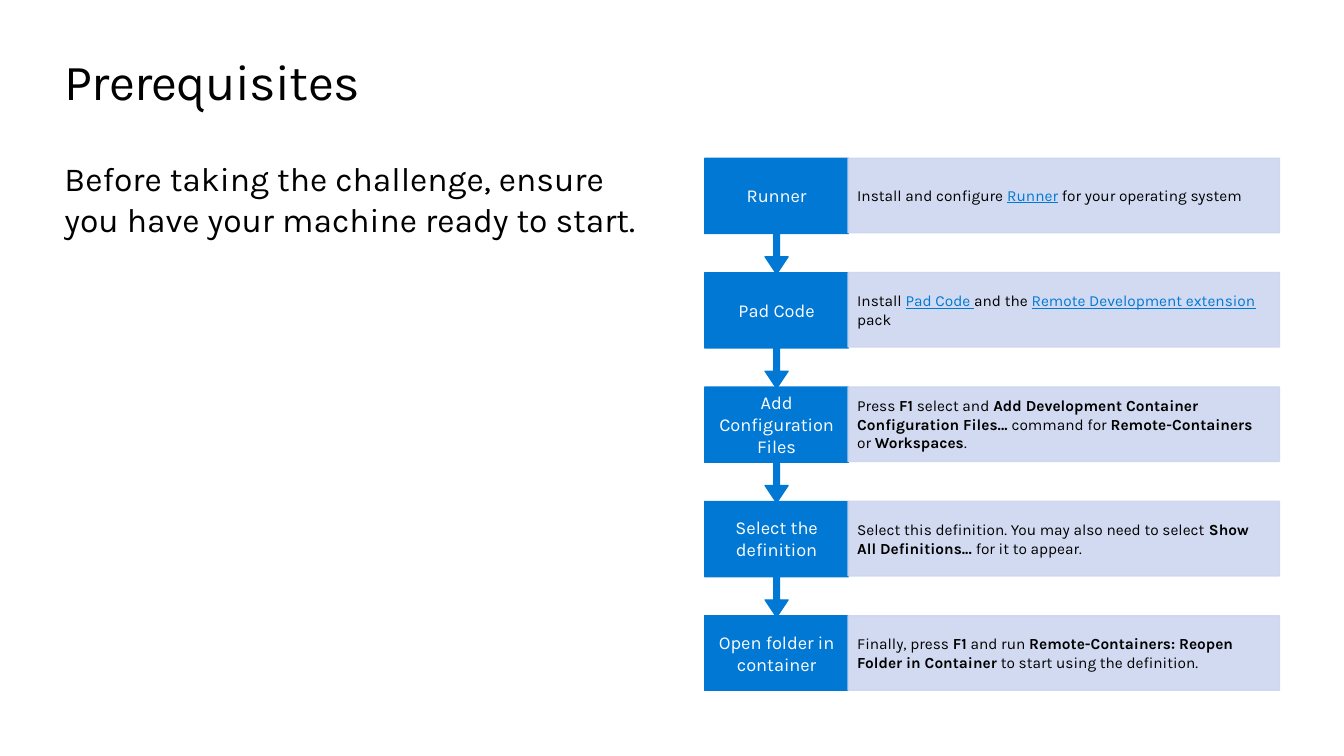
"""Build the Prerequisites slide with its five-step flow."""
from lxml import etree
from pptx import Presentation, util as u
from pptx.dml.color import RGBColor
from pptx.enum import shapes, text
from pptx.oxml import ns

BLUE = RGBColor(0x00, 0x78, 0xD4)
PALE = RGBColor(0xCC, 0xD6, 0xEF)
BLACK = RGBColor(0, 0, 0)
WHITE = RGBColor(255, 255, 255)
FONT = "Karla"
WIDE, HIGH = u.Inches(13.33), u.Inches(7.5)

EDGE, TOP, PITCH, ROW = 4.8, 20.93, 15.13, 9.87
TAG_X, TAG_W = 52.43, 10.7
NOTE_X, NOTE_W = 63.1, 32.1
CALL_H = 15.33

STEPS = [
    ("Runner", "link",
     ["Install and configure ", "Runner", " for your operating system"]),
    ("Pad Code", "link",
     ["Install ", "Pad Code ", "and the ", "Remote Development extension ", "pack"]),
    ("Add Configuration Files", "bold",
     ["Press ", "F1", " select and ", "Add Development Container Configuration Files...",
      " command for ", "Remote-Containers", " or ", "Workspaces", "."]),
    ("Select the definition", "bold",
     ["Select this definition. You may also need to select ",
      "Show All Definitions...", " for it to appear."]),
    ("Open folder in container", "bold",
     ["Finally, press ", "F1", " and run ",
      "Remote-Containers: Reopen Folder in Container", " to start using the definition."]),
]


def across(share):
    """Turn a percentage of the slide's width into a length."""
    return u.Emu(round(WIDE * share / 100))


def down(share):
    """Turn a percentage of the slide's height into a length."""
    return u.Emu(round(HIGH * share / 100))


def area(left, top, width, height):
    """Turn four percentages into a position and size."""
    return across(left), down(top), across(width), down(height)


def set_frame(shape, side=0, ends=0, anchor=text.MSO_ANCHOR.TOP):
    """Set wrapping, insets and anchor, and return the first paragraph."""
    frame = shape.text_frame
    frame.word_wrap = True
    frame.margin_left = frame.margin_right = across(side)
    frame.margin_top = frame.margin_bottom = across(ends)
    frame.vertical_anchor = anchor
    return frame.paragraphs[0]


def add_run(para, words, size, color=BLACK):
    """Add one run and return its font."""
    run = para.add_run()
    run.text = words
    font = run.font
    font.name, font.size = FONT, u.Pt(size)
    font.color.rgb = color
    return font


def add_block(slide, kind, box, color, alpha=100):
    """Add a filled shape whose thin outline has the same colour."""
    block = slide.shapes.add_shape(kind, *box)
    block.shadow.inherit = False
    block.fill.solid()
    block.fill.fore_color.rgb = color
    block.line.color.rgb = color
    block.line.width = u.Pt(0.85)
    if alpha < 100:
        for tint in block.fill._xPr.iter(ns.qn("a:srgbClr")):
            etree.SubElement(tint, ns.qn("a:alpha")).set("val", str(alpha * 1000))
    return block


def add_text(slide, box, words, size):
    """Add a plain text box without insets and return its font."""
    para = set_frame(slide.shapes.add_textbox(*box))
    return add_run(para, words, size)


def add_tag(slide, top, words, last):
    """Add a blue step name, with an arrow down unless it is last."""
    kind = shapes.MSO_SHAPE.RECTANGLE if last else shapes.MSO_SHAPE.UP_ARROW_CALLOUT
    height = ROW if last else CALL_H
    block = add_block(slide, kind, area(TAG_X, top, TAG_W, height), BLUE)
    if not last:
        block.rotation = 180
        for spot, share in enumerate((0.05, 0.1, 0.15, 0.65)):
            block.adjustments[spot] = share
    label = slide.shapes.add_textbox(*area(TAG_X, top, TAG_W, ROW))
    para = set_frame(label, 0.75, 0.75, text.MSO_ANCHOR.MIDDLE)
    para.alignment = text.PP_ALIGN.CENTER
    add_run(para, words, 13, WHITE)


def add_note(slide, top, style, parts):
    """Add a pale panel in which every second part is emphasised."""
    box = area(NOTE_X, top, NOTE_W, ROW)
    panel = add_block(slide, shapes.MSO_SHAPE.RECTANGLE, box, PALE, 90)
    para = set_frame(panel, 0.68, 1.13, text.MSO_ANCHOR.MIDDLE)
    para.alignment = text.PP_ALIGN.LEFT
    for spot, words in enumerate(parts):
        font = add_run(para, words, 11)
        if spot % 2 and style == "link":
            font.color.rgb, font.underline = BLUE, True
        elif spot % 2:
            font.bold = True


def main():
    """Build and save the slide."""
    deck = Presentation()
    deck.slide_width, deck.slide_height = WIDE, HIGH
    slide = deck.slides.add_slide(deck.slide_layouts[6])

    title = add_text(slide, area(EDGE, 6.67, 90.4, 8.13), "Prerequisites", 36)
    title._rPr.set("spc", "-50")
    add_text(slide, area(EDGE, TOP, 42.76, 10.8),
             "Before taking the challenge, ensure you have your machine ready to start.", 24)

    final = len(STEPS) - 1
    for index in range(final, -1, -1):
        name, style, parts = STEPS[index]
        top = TOP + index * PITCH
        add_tag(slide, top, name, index == final)
        add_note(slide, top, style, parts)
    deck.save("out.pptx")


if __name__ == "__main__":
    main()
